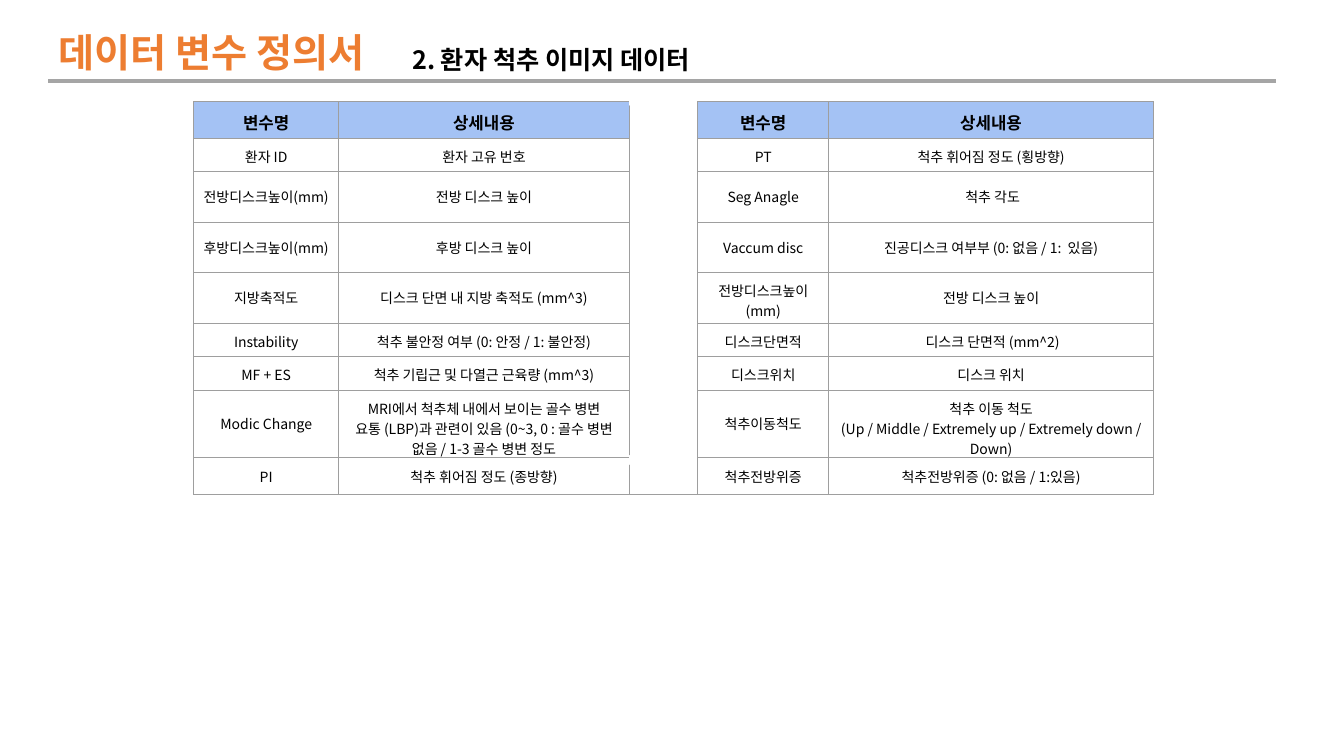
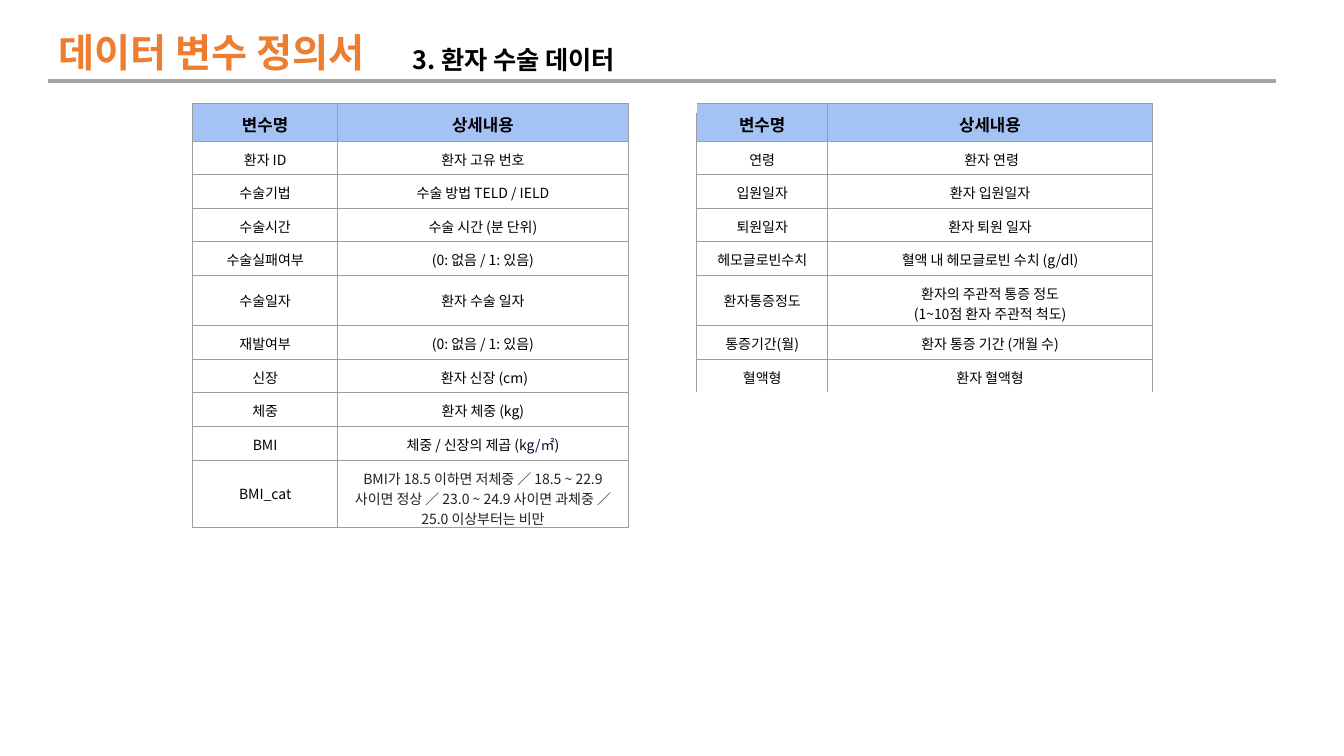
from itertools import zip_longest

from lxml import etree
from pptx import Presentation
from pptx import util as u
from pptx.dml.color import RGBColor
from pptx.enum import shapes, text
from pptx.oxml.ns import qn


class Theme:
    font = "Noto Sans CJK KR"
    accent, ink, white = "ED7D31", "000000", "FFFFFF"
    rule, grid, header = "A5A5A5", "9E9E9E", "A4C2F4"
    unit_ink, note_ink = "040C28", "202124"
    title, subtitle, heading, body = 28, 18, 12, 10
    rule_width, grid_width, cover_width = 3, 0.6, 1


TITLE = "데이터 변수 정의서"
HEADINGS = ("변수명", "상세내용")
COLUMNS = (1.44, 2.88, 0.68, 1.3, 3.22)
GAP = 2
INSET = 0.08
LINE_PT = 12

# A detail is a string (line breaks split paragraphs) or a list of (text, colour) runs.
# Covers are white blocks that open the grid where no list is shown.
SLIDES = [
    dict(
        subtitle="2. 환자 척추 이미지 데이터", subtitle_width=3.3,
        at=(1.92, 1.01), header_pt=26, last_extra_pt=2.7,
        lines=(1, 2, 2, 2, 1, 1, 3, 1),
        covers=[(6.25, 4.52, 0.66, 0.09), (6.25, 0.95, 0.66, 0.09)],
        left=[
            ("환자 ID", "환자 고유 번호"),
            ("전방디스크높이(mm)", "전방 디스크 높이"),
            ("후방디스크높이(mm)", "후방 디스크 높이"),
            ("지방축적도", "디스크 단면 내 지방 축적도 (mm^3)"),
            ("Instability", "척추 불안정 여부 (0: 안정 / 1: 불안정)"),
            ("MF + ES", "척추 기립근 및 다열근 근육량 (mm^3)"),
            ("Modic Change", "MRI에서 척추체 내에서 보이는 골수 병변\n"
             "요통 (LBP)과 관련이 있음 (0~3, 0 : 골수 병변 없음 / 1-3 골수 병변 정도"),
            ("PI", "척추 휘어짐 정도 (종방향)"),
        ],
        right=[
            ("PT", "척추 휘어짐 정도 (횡방향)"),
            ("Seg Anagle", " 척추 각도"),
            ("Vaccum disc", "진공디스크 여부부 (0: 없음 / 1:  있음)"),
            ("전방디스크높이(mm)", "전방 디스크 높이"),
            ("디스크단면적", " 디스크 단면적 (mm^2)"),
            ("디스크위치", "디스크 위치"),
            ("척추이동척도", "척추 이동 척도\n"
             "(Up / Middle / Extremely up / Extremely down / Down)"),
            ("척추전방위증", "척추전방위증 (0: 없음 / 1:있음)"),
        ],
    ),
    dict(
        subtitle="3. 환자 수술 데이터", subtitle_width=2.45,
        at=(1.91, 1.03), header_pt=26.5, last_extra_pt=0,
        lines=(1, 1, 1, 1, 2, 1, 1, 1, 1, 3),
        covers=[(6.25, 5.15, 0.66, 0.09), (6.25, 1.02, 0.66, 0.09),
                (6.9, 3.9, 4.75, 1.36)],
        left=[
            ("환자 ID", "환자 고유 번호"),
            ("수술기법", "수술 방법 TELD / IELD"),
            ("수술시간", "수술 시간 (분 단위)"),
            ("수술실패여부", "(0: 없음 / 1: 있음)"),
            ("수술일자", "환자 수술 일자"),
            ("재발여부", "(0: 없음 / 1: 있음)"),
            ("신장", " 환자 신장 (cm)"),
            ("체중", "환자 체중 (kg)"),
            ("BMI", [("체중 / 신장의 제곱 (", Theme.ink),
                     ("kg/㎡", Theme.unit_ink), (")", Theme.ink)]),
            ("BMI_cat", [("BMI가 18.5 이하면 저체중 ／ 18.5 ~ 22.9 사이면 정상 ／ "
                          "23.0 ~ 24.9 사이면 과체중 ／ 25.0 이상부터는 비만",
                          Theme.note_ink)]),
        ],
        right=[
            ("연령", " 환자 연령"),
            ("입원일자", "환자 입원일자"),
            ("퇴원일자", "환자 퇴원 일자"),
            ("헤모글로빈수치", "혈액 내 헤모글로빈 수치 (g/dl)"),
            ("환자통증정도", "환자의 주관적 통증 정도\n(1~10점 환자 주관적 척도)"),
            ("통증기간(월)", "환자 통증 기간 (개월 수)"),
            ("혈액형", "환자 혈액형"),
        ],
    ),
]


def rgb(color):
    return RGBColor.from_string(color)


def add_run(p, words, size, color=Theme.ink, bold=False):
    r = p.add_run()
    r.text = words
    r.font.size, r.font.bold, r.font.name = u.Pt(size), bold, Theme.font
    r.font.color.rgb = rgb(color)
    r.font._element.set("kern", "0")
    etree.SubElement(r.font._element, qn("a:ea"), typeface=Theme.font)


def add_label(s, words, box, size, color):
    tf = s.shapes.add_textbox(*map(u.Inches, box)).text_frame
    tf.word_wrap = False
    tf.auto_size = text.MSO_AUTO_SIZE.SHAPE_TO_FIT_TEXT
    add_run(tf.paragraphs[0], words, size, color, True)


def add_header(s, subtitle, subtitle_width):
    rule = s.shapes.add_connector(shapes.MSO_CONNECTOR.STRAIGHT,
                                  *map(u.Inches, (0.48, 0.8, 12.66, 0.8)))
    rule.line.color.rgb, rule.line.width = rgb(Theme.rule), u.Pt(Theme.rule_width)
    etree.SubElement(rule._element.spPr, qn("a:effectLst"))
    add_label(s, TITLE, (0.48, 0.23, 3.62, 0.57), Theme.title, Theme.accent)
    add_label(s, subtitle, (3.99, 0.39, subtitle_width, 0.4), Theme.subtitle, Theme.ink)


def add_cover(s, box):
    sp = s.shapes.add_shape(shapes.MSO_SHAPE.RECTANGLE, *map(u.Inches, box))
    sp.shadow.inherit = False
    sp.fill.solid()
    sp.fill.fore_color.rgb = sp.line.color.rgb = rgb(Theme.white)
    sp.line.width = u.Pt(Theme.cover_width)


def set_borders(cell):
    for side in "LRTB":
        ln = etree.SubElement(cell._tc.get_or_add_tcPr(), qn("a:ln" + side),
                              w=str(u.Pt(Theme.grid_width)))
        fill = etree.SubElement(ln, qn("a:solidFill"))
        etree.SubElement(fill, qn("a:srgbClr"), val=Theme.grid)


def fill_cell(cell, content, is_header):
    cell.vertical_anchor = text.MSO_ANCHOR.MIDDLE
    cell.margin_left = cell.margin_right = u.Inches(INSET)
    cell.margin_top = cell.margin_bottom = u.Inches(INSET)
    cell.fill.solid()
    cell.fill.fore_color.rgb = rgb(Theme.header if is_header and content else Theme.white)
    tf = cell.text_frame
    if not content:
        etree.SubElement(tf.paragraphs[0]._p, qn("a:endParaRPr"), sz=str(Theme.body * 100))
        return
    if isinstance(content, str):
        paragraphs = [[(line, Theme.ink)] for line in content.split("\n")]
    else:
        paragraphs = [content]
    for i, runs in enumerate(paragraphs):
        p = tf.add_paragraph() if i else tf.paragraphs[0]
        p.alignment = text.PP_ALIGN.CENTER
        for words, color in runs:
            add_run(p, words, Theme.heading if is_header else Theme.body, color, is_header)


def add_definitions(s, page):
    """Two lists side by side in one table, with a merged gap column between them."""
    pairs = zip_longest(page["left"], page["right"], fillvalue=("", ""))
    rows = [(*HEADINGS, "", *HEADINGS)] + [(*a, "", *b) for a, b in pairs]
    heights = [page["header_pt"]] + [LINE_PT * (n + 1) for n in page["lines"]]
    heights[-1] += page["last_extra_pt"]
    left, top = map(u.Inches, page["at"])
    table = s.shapes.add_table(len(rows), len(COLUMNS), left, top,
                               u.Inches(sum(COLUMNS)), u.Pt(sum(heights))).table
    table.first_row = table.horz_banding = False
    for column, width in zip(table.columns, COLUMNS):
        column.width = u.Inches(width)
    for row, height in zip(table.rows, heights):
        row.height = u.Pt(height)
    for i, row in enumerate(rows):
        for j, content in enumerate(row):
            set_borders(table.cell(i, j))
            fill_cell(table.cell(i, j), content, i == 0)

    last_row, last_column = len(rows) - 1, len(COLUMNS) - 1
    table.cell(0, GAP).merge(table.cell(last_row, GAP))
    first_empty = len(page["right"]) + 1
    if first_empty <= last_row:
        table.cell(first_empty, GAP + 1).merge(table.cell(last_row, last_column))


def main():
    prs = Presentation()
    prs.slide_width, prs.slide_height = u.Inches(13.33), u.Inches(7.5)
    for page in SLIDES:
        s = prs.slides.add_slide(prs.slide_layouts[6])
        add_header(s, page["subtitle"], page["subtitle_width"])
        add_definitions(s, page)
        for box in page["covers"]:
            add_cover(s, box)
    prs.save("out.pptx")


if __name__ == "__main__":
    main()
